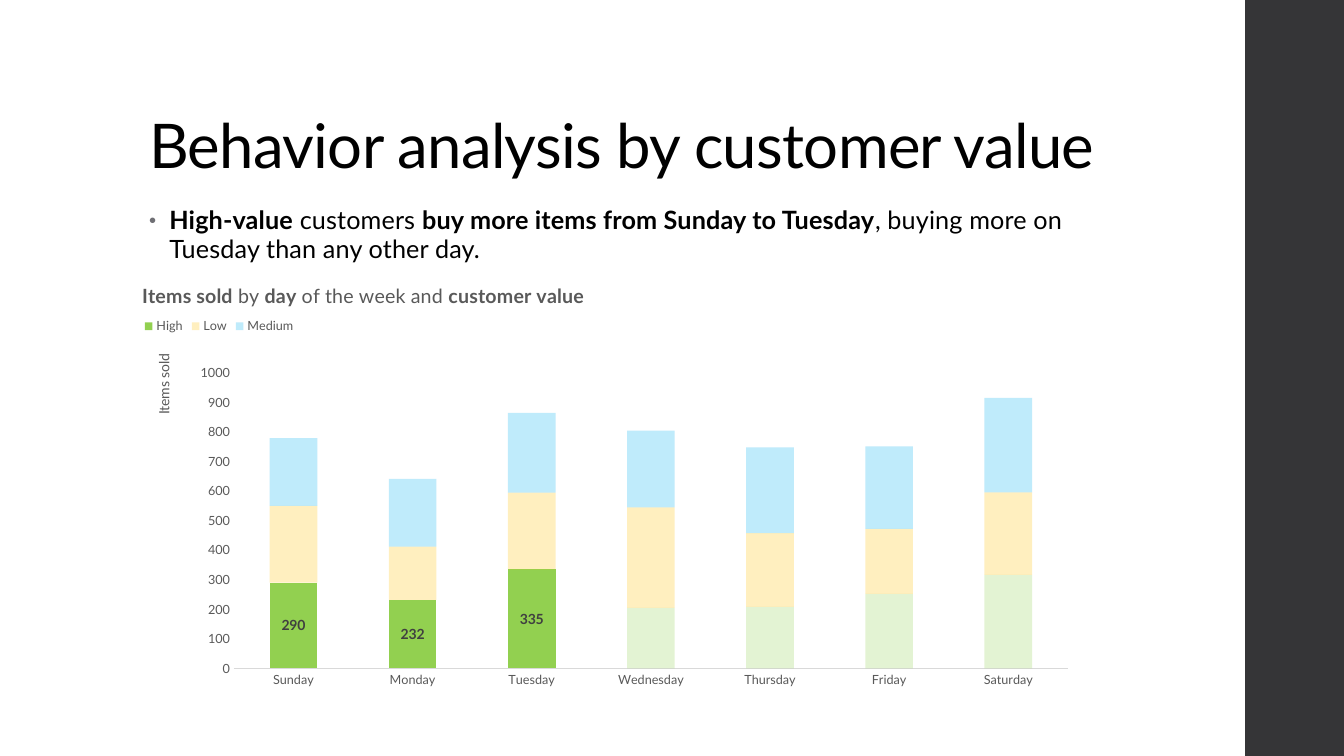
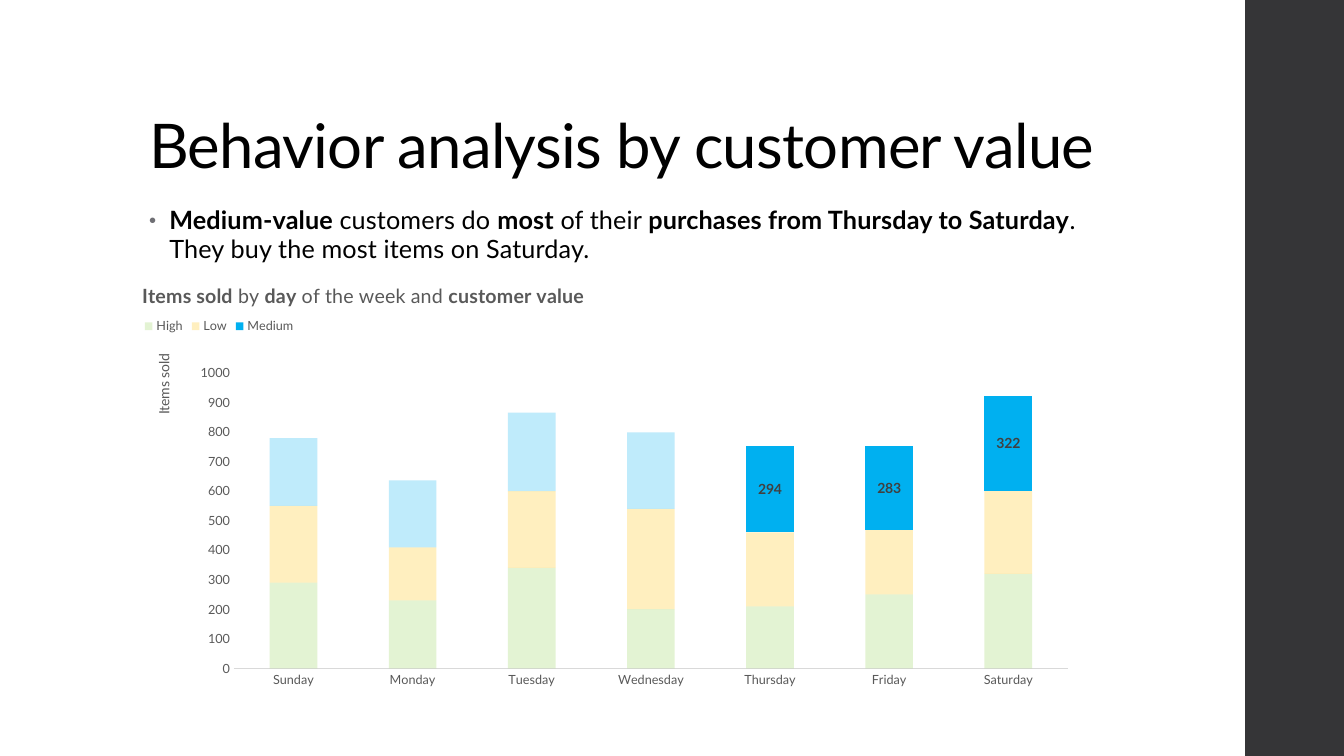
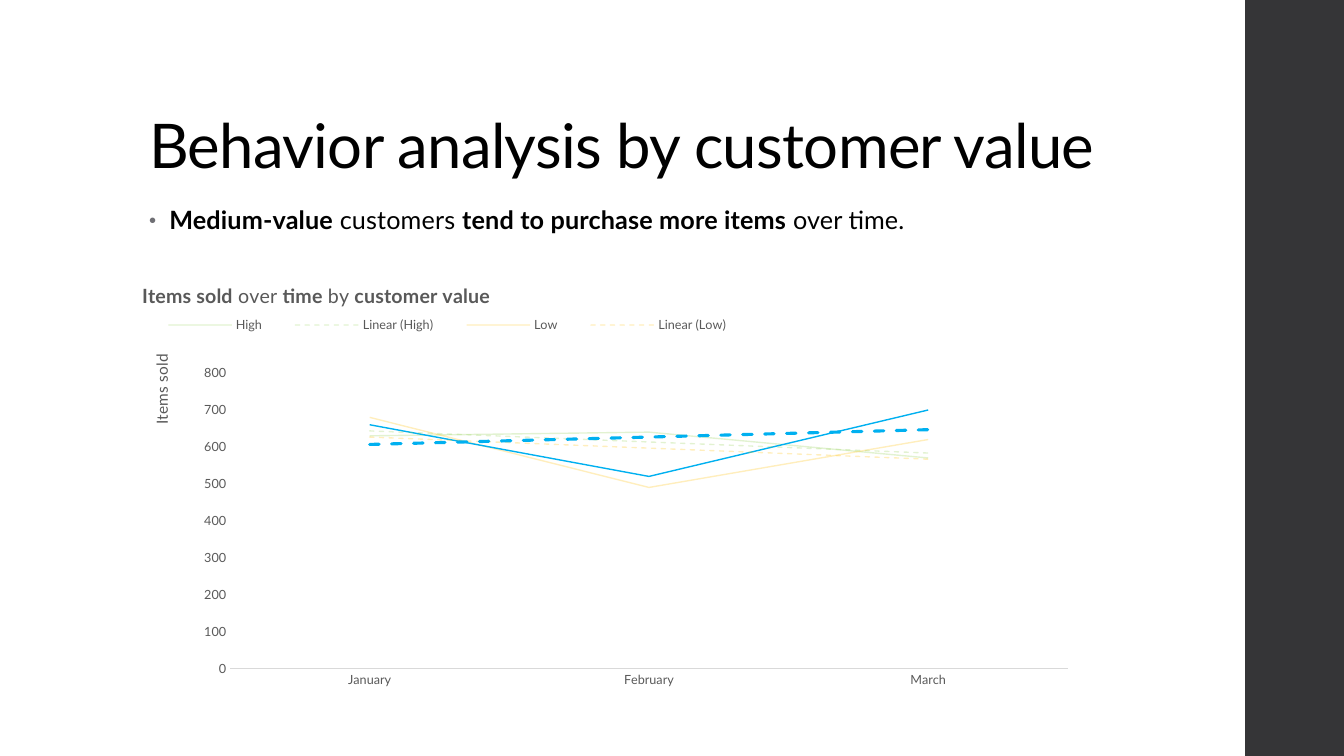
"""Build three slides on customer behaviour, each with one chart."""
from copy import deepcopy

from lxml.etree import SubElement
from pptx import Presentation
from pptx.chart.data import CategoryChartData as ChartData
from pptx.dml.color import RGBColor
from pptx.enum.chart import XL_CHART_TYPE as ChartType
from pptx.enum.chart import XL_LABEL_POSITION as LabelPosition
from pptx.enum.chart import XL_LEGEND_POSITION as LegendPosition
from pptx.enum.chart import XL_TICK_MARK as TickMark
from pptx.enum.shapes import MSO_SHAPE as Shape
from pptx.enum.text import MSO_ANCHOR as Anchor
from pptx.enum.text import MSO_AUTO_SIZE as AutoSize
from pptx.enum.text import PP_ALIGN as Align
from pptx.oxml import parse_xml
from pptx.oxml.ns import nsdecls, qn
from pptx.util import Inches, Pt

WIDTH, HEIGHT = Inches(13.33), Inches(7.5)
FONT = "Lato"
BLACK = RGBColor(0x00, 0x00, 0x00)
BAND = RGBColor(0x35, 0x35, 0x37)
BULLET = RGBColor(0x6F, 0x6F, 0x74)
GREY = RGBColor(0x59, 0x59, 0x59)
LABEL = RGBColor(0x40, 0x40, 0x40)
AXIS = RGBColor(0xD9, 0xD9, 0xD9)
SERIES_COLORS = {
    "High": RGBColor(0x92, 0xD0, 0x50),
    "Low": RGBColor(0xFF, 0xC0, 0x00),
    "Medium": RGBColor(0x00, 0xB0, 0xF0),
}
FADED = 25

TITLE_BOX = (10.35, 5.33, 79.52, 19.33)
BODY_BOX = (10.35, 26.67, 70.52, 63.47)
CHART_BOX = (10.35, 36.8, 70.52, 55.33)
BAND_BOX = (92.65, 0, 7.35, 100)

TITLE = "Behavior analysis by customer value"
DAYS = ["Sunday", "Monday", "Tuesday", "Wednesday", "Thursday", "Friday", "Saturday"]
DAILY_SALES = {
    "High": [290, 232, 335, 205, 208, 252, 316],
    "Low": [260, 180, 260, 340, 250, 220, 280],
    "Medium": [230, 227, 266, 259, 294, 283, 322],
}
DAILY_TITLE = "**Items sold** by **day** of the week and **customer value**"
MONTHS = ["January", "February", "March"]
MONTHLY_SALES = {
    "High": [630, 640, 570],
    "Low": [680, 490, 620],
    "Medium": [660, 520, 700],
}
MONTHLY_TITLE = "**Items sold** over **time** by **customer value**"


def to_lengths(box):
    """Turn percentages of the slide into left, top, width and height."""
    return [int(side * share / 100) for side, share in zip((WIDTH, HEIGHT) * 2, box)]


def style_font(font, size, color, bold=False):
    """Apply the shared typeface with a size, colour and weight."""
    font.name, font.size, font.bold = FONT, Pt(size), bold
    font.color.rgb = color


def write_marked(paragraph, text, size, color, spacing=0):
    """Write text in which double asterisks switch bold on and off."""
    for index, part in enumerate(text.split("**")):
        if part:
            run = paragraph.add_run()
            run.text = part
            style_font(run.font, size, color, bold=index % 2 == 1)
            run.font._element.set("spc", str(spacing))


def add_bullet(paragraph):
    """Give a paragraph a hanging grey bullet."""
    properties = paragraph._p.get_or_add_pPr()
    indent = Inches(0.2)
    properties.set("marL", str(indent))
    properties.set("indent", str(-indent))
    color = SubElement(properties, qn("a:buClr"))
    SubElement(color, qn("a:srgbClr"), val=str(BULLET))
    SubElement(properties, qn("a:buSzPct"), val="80000")
    SubElement(properties, qn("a:buFont"), typeface="Arial")
    SubElement(properties, qn("a:buChar"), char="•")


def fade(element):
    """Make the colours inside a format element mostly transparent."""
    for color in element.iter(qn("a:srgbClr")):
        SubElement(color, qn("a:alpha"), val=str(FADED * 1000))


def place_part(chart, location, left, top, width=None, height=None):
    """Place a chart part at percentages of the chart's size."""
    part = chart._chartSpace.xpath(location)[0]
    for old_layout in part.findall(qn("c:layout")):
        part.remove(old_layout)
    layout = parse_xml(f"<c:layout {nsdecls('c')}><c:manualLayout/></c:layout>")
    manual = layout[0]
    if part.tag == qn("c:plotArea"):
        SubElement(manual, qn("c:layoutTarget"), val="inner")
    for name in ("xMode", "yMode"):
        SubElement(manual, qn(f"c:{name}"), val="edge")
    for name, value in zip("xywh", (left, top, width, height)):
        if value is not None:
            SubElement(manual, qn(f"c:{name}"), val=f"{value / 100:.4f}")
    overlay = part.find(qn("c:overlay"))
    if overlay is None:
        part.insert(0, layout)
    else:
        overlay.addprevious(layout)


def add_band(slide, master):
    """Draw the dark side band and move it to the master."""
    band = slide.shapes.add_shape(Shape.RECTANGLE, *to_lengths(BAND_BOX))
    band.shadow.inherit = False
    band.fill.solid()
    band.fill.fore_color.rgb = BAND
    band.line.fill.background()
    master.shapes._spTree.insert(2, band._element)


def place_placeholders(layout):
    """Set the title and body boxes on the layout."""
    for index, box in enumerate((TITLE_BOX, BODY_BOX)):
        shape = layout.placeholders[index]
        shape.left, shape.top, shape.width, shape.height = to_lengths(box)


def add_text_slide(presentation, layout, message):
    """Add a slide with the shared title and one bulleted message."""
    slide = presentation.slides.add_slide(layout)
    title, body = slide.placeholders
    title.text_frame.vertical_anchor = Anchor.BOTTOM
    heading = title.text_frame.paragraphs[0]
    heading.alignment, heading.line_spacing = Align.LEFT, 0.9
    write_marked(heading, TITLE, 44, BLACK, -50)
    point = body.text_frame.paragraphs[0]
    point.line_spacing, point.space_before = 0.95, Pt(0)
    add_bullet(point)
    write_marked(point, message, 18, BLACK, 10)
    for shape in (title, body):
        shape.text_frame.auto_size = AutoSize.NONE
    return slide


def add_sales_chart(slide, kind, categories, sales, title, maximum,
                    axis_title_size, axis_title_left, plot_left, legend_box):
    """Add a chart with the shared title, legend and axis styles."""
    data = ChartData()
    data.categories = categories
    for name, values in sales.items():
        data.add_series(name, values)
    chart = slide.shapes.add_chart(kind, *to_lengths(CHART_BOX), data).chart
    style_font(chart.font, 10, BLACK)
    chart.has_title = True
    write_marked(chart.chart_title.text_frame.paragraphs[0], title, 14, GREY)
    chart.has_legend = True
    chart.legend.position = LegendPosition.TOP
    chart.legend.include_in_layout = False
    style_font(chart.legend.font, 9, GREY)

    for axis in (chart.category_axis, chart.value_axis):
        axis.major_tick_mark = axis.minor_tick_mark = TickMark.NONE
        axis.has_major_gridlines = False
        style_font(axis.tick_labels.font, 9, GREY)
    category_line = chart.category_axis.format.line
    category_line.color.rgb, category_line.width = AXIS, Pt(0.75)
    value_axis = chart.value_axis
    value_axis.format.line.fill.background()
    value_axis.minimum_scale, value_axis.maximum_scale = 0, maximum
    value_axis.major_unit = 100
    axis_text = value_axis.axis_title.text_frame
    write_marked(axis_text.paragraphs[0], "Items sold", axis_title_size, GREY)
    axis_text._txBody.bodyPr.set("rot", "-5400000")
    axis_text._txBody.bodyPr.set("vert", "horz")

    place_part(chart, "c:chart/c:title", 0, 0.1)
    place_part(chart, "c:chart/c:legend", *legend_box)
    place_part(chart, "c:chart/c:plotArea/c:valAx/c:title", axis_title_left, 17.5)
    place_part(chart, "c:chart/c:plotArea", plot_left, 22.7, 98 - plot_left, 70.6)
    chart.plots[0].vary_by_categories = False
    return chart


def add_daily_chart(slide, focus, focus_days):
    """Add stacked columns that stress one customer group on some days."""
    sales = {name: values if name == focus else [round(value, -1) for value in values]
             for name, values in DAILY_SALES.items()}
    chart = add_sales_chart(slide, ChartType.COLUMN_STACKED, DAYS, sales,
                            DAILY_TITLE, 1000, 10, 1.3, 10, (0.1, 8.5, 16.7, 6))
    plot = chart.plots[0]
    plot.gap_width, plot.overlap = 150, 100
    for series in plot.series:
        color = SERIES_COLORS[series.name]
        series.format.fill.solid()
        series.format.fill.fore_color.rgb = color
        if series.name != focus:
            fade(series._element)
            continue
        for index, day in enumerate(DAYS):
            point = series.points[index]
            if day in focus_days:
                style_font(point.data_label.font, 10, LABEL, bold=True)
                point.data_label.position = LabelPosition.CENTER
            else:
                point.format.fill.solid()
                point.format.fill.fore_color.rgb = color
                fade(point.format.fill._xPr)


def add_trendline(series, width):
    """Add a dashed linear trend in the colour of the series."""
    trendline = parse_xml(
        f"<c:trendline {nsdecls('c')}><c:trendlineType val='linear'/>"
        "<c:dispRSqr val='0'/><c:dispEq val='0'/></c:trendline>")
    properties = deepcopy(series._element.find(qn("c:spPr")))
    line = properties.find(qn("a:ln"))
    line.set("w", str(Pt(width)))
    line.set("cap", "rnd")
    SubElement(line, qn("a:prstDash"), val="dash")
    trendline.insert(0, properties)
    series._element.find(qn("c:cat")).addprevious(trendline)


def add_monthly_chart(slide, focus):
    """Add lines with trends that stress one customer group."""
    chart = add_sales_chart(slide, ChartType.LINE, MONTHS, MONTHLY_SALES,
                            MONTHLY_TITLE, 800, 11, 0.9, 9.6, (0, 8.2, 65, 6))
    position = chart._chartSpace.xpath("c:chart/c:legend/c:legendPos")[0]
    all_series = list(chart.plots[0].series)
    for index, series in enumerate(all_series):
        series.smooth = False
        series.format.line.color.rgb = SERIES_COLORS[series.name]
        series.format.line.width = Pt(1)
        if series.name != focus:
            fade(series._element)
            add_trendline(series, 1)
            continue
        add_trendline(series, 2.25)
        for entry in (index + len(all_series), index):
            position.addnext(parse_xml(
                f"<c:legendEntry {nsdecls('c')}><c:idx val='{entry}'/>"
                "<c:delete val='1'/></c:legendEntry>"))


def main():
    """Build and save the presentation."""
    presentation = Presentation()
    presentation.slide_width, presentation.slide_height = WIDTH, HEIGHT
    layout = presentation.slide_layouts[1]
    place_placeholders(layout)

    slide = add_text_slide(
        presentation, layout,
        "**High-value** customers **buy more items from Sunday to Tuesday**, "
        "buying more on Tuesday than any other day.")
    add_band(slide, presentation.slide_master)
    add_daily_chart(slide, "High", DAYS[:3])

    slide = add_text_slide(
        presentation, layout,
        "**Medium-value **customers do **most** of their **purchases from "
        "Thursday to Saturday**. They buy the most items on Saturday.")
    add_daily_chart(slide, "Medium", DAYS[4:])

    slide = add_text_slide(
        presentation, layout,
        "**Medium-value** customers **tend to purchase more items **over time.")
    add_monthly_chart(slide, "Medium")
    presentation.save("out.pptx")


if __name__ == "__main__":
    main()
